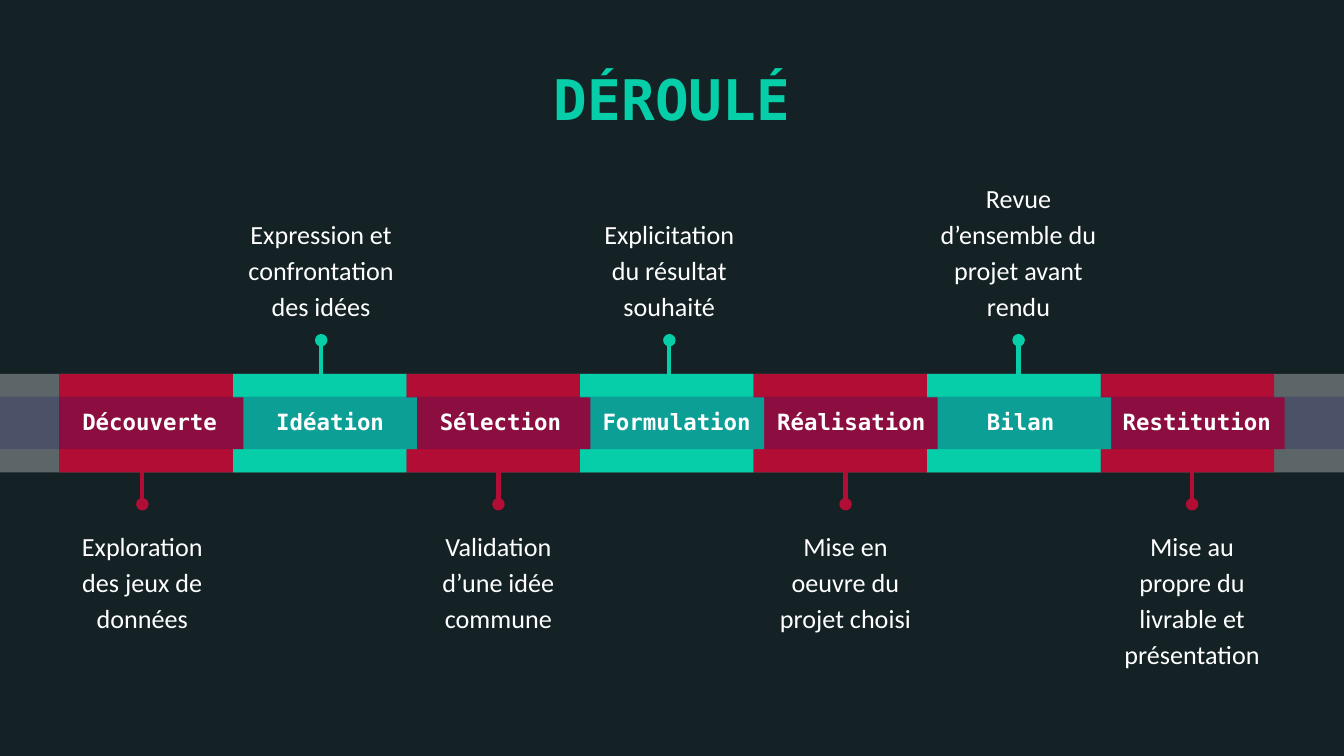
from pptx import Presentation
from pptx.util import Cm, Pt
from pptx.dml.color import RGBColor
from pptx.enum.shapes import MSO_SHAPE as Shape, MSO_CONNECTOR as Link
from pptx.enum.text import PP_ALIGN as Align, MSO_ANCHOR as Anchor
from pptx.oxml.ns import qn
from lxml.etree import SubElement as Sub

DARK, WHITE, NAVY = "142226", "FFFFFF", "1B1464"
RED, GREEN = "B20D34", "06CEA8"
MONO, SANS = "DejaVu Sans Mono", "Calibri"
WIDE, STEP = 25.4, 3.28

# name, centre of name, note, centre of note
STAGES = [
    ("Découverte", 2.83, "Exploration des jeux de données", 2.69),
    ("Idéation", 6.24, "Expression et confrontation des idées", 6.07),
    ("Sélection", 9.46, "Validation d’une idée commune", 9.42),
    ("Formulation", 12.79, "Explicitation du résultat souhaité", 12.65),
    ("Réalisation", 16.09, "Mise en oeuvre du projet choisi", 15.98),
    ("Bilan", 19.29, "Revue d’ensemble du projet avant rendu", 19.25),
    ("Restitution", 22.62, "Mise au propre du livrable et présentation", 22.53),
]


def color(code):
    """Turn a hex string into a colour."""
    return RGBColor.from_string(code)


def paint(shape, code, alpha=None):
    """Fill a shape flat, with an optional opacity in percent."""
    shape.shadow.inherit = False
    shape.line.fill.background()
    shape.fill.solid()
    shape.fill.fore_color.rgb = color(code)
    if alpha:
        tint = shape._element.spPr.find(qn("a:solidFill"))[0]
        Sub(tint, qn("a:alpha"), val=str(alpha * 1000))


def write(slide, box, text, font, size, code, bold=False, pad=0.25,
          anchor=Anchor.TOP, space=None):
    """Place centred text in a box (left, top, width, height)."""
    frame = slide.shapes.add_textbox(*map(Cm, box)).text_frame
    frame.word_wrap = True
    frame.vertical_anchor = anchor
    frame.margin_left = frame.margin_right = Cm(0.25)
    frame.margin_top = frame.margin_bottom = Cm(pad)
    frame.text = text
    para = frame.paragraphs[0]
    para.alignment = Align.CENTER
    if space:
        para.line_spacing = space
    face = para.runs[0].font
    face.name, face.size, face.bold = font, Pt(size), bold
    face.color.rgb = color(code)


def strip(slide, box, code, alpha):
    """Draw a translucent strip."""
    bar = slide.shapes.add_shape(Shape.RECTANGLE, *map(Cm, box))
    paint(bar, code, alpha)


def block(slide, box, code):
    """Draw a stage block with a tab on its right side."""
    left, top, wide, high = box
    right, base, tip = left + wide, top + high, left + wide + 0.2
    upper, lower = top + 0.44, base - 0.44
    spots = [(left, base), (right, base), (right, lower), (tip, lower),
             (tip, upper), (right, upper), (right, top)]
    form = slide.shapes.build_freeform(Cm(left), Cm(top))
    form.add_line_segments([(Cm(x), Cm(y)) for x, y in spots])
    paint(form.convert_to_shape(), code)


def pin(slide, mid, start, end, code):
    """Draw an upright line that starts with a dot."""
    line = slide.shapes.add_connector(
        Link.STRAIGHT, Cm(mid), Cm(start), Cm(mid), Cm(end))
    line.line.width = Pt(2.25)
    line.line.color.rgb = color(code)
    props = line._element.spPr
    Sub(props.find(qn("a:ln")), qn("a:headEnd"), type="oval")
    Sub(props, qn("a:effectLst"))


def band(slide, box):
    """Draw the timeline band with its blocks and stage names."""
    left, top, wide, high = box
    core = (left, top + 0.43, wide, 0.99)
    strip(slide, box, WHITE, 31)
    for i in reversed(range(len(STAGES))):
        spot = (left + 1.12 + i * STEP, top, STEP, high)
        block(slide, spot, GREEN if i % 2 else RED)
    strip(slide, core, NAVY, 25)
    for name, mid, _, _ in STAGES:
        spot = (left + mid - 2.17, top + 0.4, 4.34, 0.99)
        write(slide, spot, name, MONO, 12, WHITE, True)


def notes(slide, box):
    """Put notes above and below the band box, each with its pin."""
    left, top, _, high = box
    base = top + high
    for i, (_, _, text, mid) in enumerate(STAGES):
        if i % 2:
            pin(slide, left + mid, top - 0.64, top + 0.02, GREEN)
            y, anchor = top - 3.45, Anchor.BOTTOM
        else:
            pin(slide, left + mid, base + 0.6, base - 0.04, RED)
            y, anchor = base + 1, Anchor.TOP
        write(slide, (left + mid - 1.74, y, 3.48, 2.46), text, SANS, 14,
              WHITE, pad=0, anchor=anchor, space=1.15)


def main():
    """Build the slide and save it."""
    deck = Presentation()
    deck.slide_width, deck.slide_height = Cm(WIDE), Cm(14.29)
    slide = deck.slides.add_slide(deck.slide_layouts[6])
    fill = slide.background.fill
    fill.solid()
    fill.fore_color.rgb = color(DARK)
    row = (0, 7.07, WIDE, 1.86)
    write(slide, (3.56, 0.97, 18.28, 1.86), "DÉROULÉ", MONO, 30, GREEN, True)
    band(slide, row)
    notes(slide, row)
    deck.save("out.pptx")


main()
